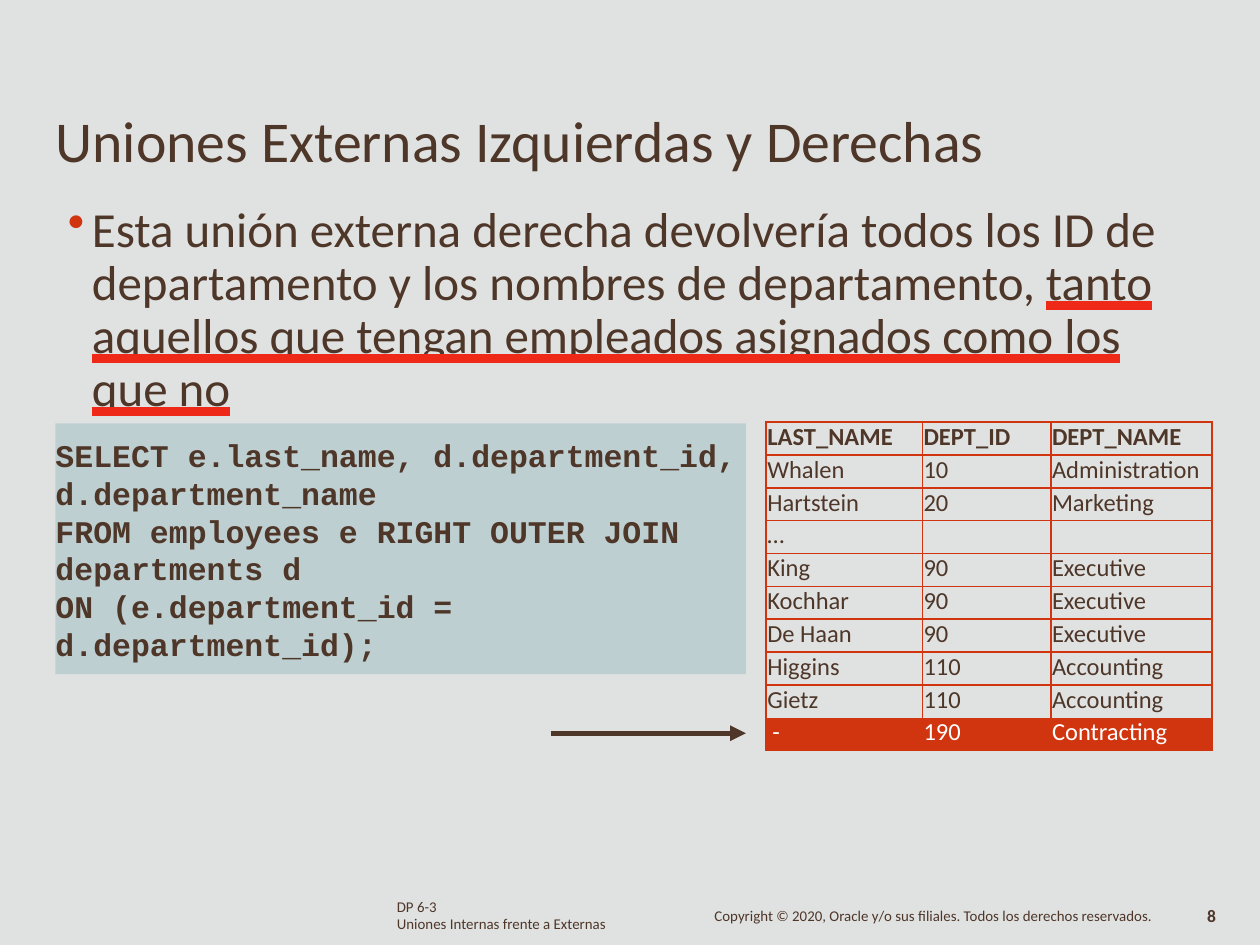
from dataclasses import dataclass

from lxml import etree
from pptx import Presentation
from pptx.dml.color import RGBColor
from pptx.enum.shapes import MSO_CONNECTOR, MSO_SHAPE
from pptx.enum.text import MSO_ANCHOR, MSO_AUTO_SIZE, MSO_UNDERLINE, PP_ALIGN
from pptx.oxml.ns import qn
from pptx.util import Inches, Pt

# Constants
INK = RGBColor(0x4E, 0x36, 0x29)
RED = RGBColor(0xD1, 0x35, 0x0F)
MARK = RGBColor(0xEF, 0x29, 0x17)
TEAL = RGBColor(0x9D, 0xBE, 0xC4)
PAPER = RGBColor(0xE0, 0xE2, 0xE1)
WHITE = RGBColor(0xFF, 0xFF, 0xFF)
SANS, MONO = "Calibri", "Courier New"
LEFT, TOP = PP_ALIGN.LEFT, MSO_ANCHOR.TOP
NO_FIT, HEAVY = MSO_AUTO_SIZE.NONE, MSO_UNDERLINE.HEAVY_LINE
RECT, LINE = MSO_SHAPE.RECTANGLE, MSO_CONNECTOR.STRAIGHT

# The slide is a grid of 100 columns by 75 rows
WIDE, HIGH = Inches(10), Inches(7.5)


def col(count: float) -> int:
    return round(WIDE * count / 100)


def row(count: float) -> int:
    return round(HIGH * count / 75)


@dataclass
class Box:
    x: float
    y: float
    w: float
    h: float

    def area(self) -> tuple:
        return col(self.x), row(self.y), col(self.w), row(self.h)


@dataclass
class Note:
    box: Box
    lines: tuple
    size: float
    bold: bool = False
    pitch: float | None = None


def add_xml(parent, tag: str, **attrs):
    return etree.SubElement(parent, qn(tag), attrs)


def add_color(parent, color: RGBColor):
    fill = add_xml(parent, "a:solidFill")
    return add_xml(fill, "a:srgbClr", val=str(color))


def set_font(para, size: float, color=INK, bold=False, face=SANS) -> None:
    font = para.font
    font.name, font.size, font.bold = face, Pt(size), bold
    font.color.rgb = color


def set_frame(frame, top: float = 0, wrap: bool = True) -> None:
    frame.margin_left = frame.margin_right = frame.margin_bottom = 0
    frame.margin_top = row(top)
    frame.word_wrap = wrap
    frame.auto_size = NO_FIT
    frame.vertical_anchor = TOP


def add_note(slide, note: Note) -> None:
    frame = slide.shapes.add_textbox(*note.box.area()).text_frame
    set_frame(frame, wrap=False)
    frame.text = "\n".join(note.lines)
    for para in frame.paragraphs:
        if note.pitch:
            para.line_spacing = Pt(note.pitch)
        set_font(para, note.size, bold=note.bold)


def add_title(slide, box: Box, text: str) -> None:
    title = slide.shapes.title
    title.left, title.top, title.width, title.height = box.area()
    set_frame(title.text_frame, 0.1, wrap=False)
    title.text_frame.text = text
    para = title.text_frame.paragraphs[0]
    para.alignment = LEFT
    set_font(para, 33)


def add_point(slide, box: Box, parts: tuple) -> None:
    frame = slide.shapes.add_textbox(*box.area()).text_frame
    set_frame(frame, 0.7)
    para = frame.paragraphs[0]
    para.line_spacing = Pt(30.3)
    props = para._p.get_or_add_pPr()
    props.set("marL", str(col(2)))
    props.set("indent", str(-col(1.9)))
    add_xml(add_xml(props, "a:buClr"), "a:srgbClr", val=str(RED))
    add_xml(props, "a:buChar", char="•")
    set_font(para, 28)
    for text, lined in parts:
        run = para.add_run()
        run.text = text
        if lined:
            run.font.underline = HEAVY
            add_color(add_xml(run.font._element, "a:uFill"), MARK)


def add_code(slide, box: Box, lines: tuple) -> None:
    shape = slide.shapes.add_shape(RECT, *box.area())
    shape.shadow.inherit = False
    shape.line.fill.background()
    shape.fill.solid()
    shape.fill.fore_color.rgb = TEAL
    tint = shape._element.spPr.find(".//" + qn("a:srgbClr"))
    add_xml(tint, "a:alpha", val="50000")
    set_frame(shape.text_frame, 1)
    shape.text_frame.text = "\n".join(lines)
    for para in shape.text_frame.paragraphs:
        para.alignment = LEFT
        set_font(para, 18, bold=True, face=MONO)


def add_edges(cell, bare: str) -> None:
    props = cell._tc.get_or_add_tcPr()
    for side in "LRTB":
        edge = add_xml(props, "a:ln" + side, w=str(Pt(1)))
        if side == bare:
            add_xml(edge, "a:noFill")
        else:
            add_color(edge, RED)


def add_grid(slide, box: Box, widths: tuple, data: tuple) -> None:
    last = len(data) - 1
    table = slide.shapes.add_table(len(data), len(widths), *box.area()).table
    table.first_row = table.horz_banding = False
    for column, width in zip(table.columns, widths):
        column.width = col(width)
    for i, values in enumerate(data):
        table.rows[i].height = row(box.h / len(data))
        for j, value in enumerate(values):
            cell = table.cell(i, j)
            cell.margin_left = col(0.5 if value == "-" else 0.1)
            cell.margin_right = cell.margin_top = cell.margin_bottom = 0
            cell.text = value
            color = WHITE if i == last else INK
            set_font(cell.text_frame.paragraphs[0], 14, color, i == 0)
            add_edges(cell, {last - 1: "B", last: "T"}.get(i, ""))
            if i == last:
                cell.fill.solid()
                cell.fill.fore_color.rgb = RED
            else:
                cell.fill.background()


def add_arrow(slide, start: float, end: float, y: float) -> None:
    arrow = slide.shapes.add_connector(LINE, col(start), row(y), col(end), row(y))
    arrow.line.color.rgb = INK
    arrow.line.width = Pt(3)
    add_xml(arrow.line._get_or_add_ln(), "a:tailEnd", type="triangle")
    add_xml(arrow._element.spPr, "a:effectLst")


POINT = (
    ("Esta unión externa derecha devolvería todos los ID de departamento "
     "y los nombres de departamento, ", False),
    ("tanto", True),
    (" ", False),
    ("aquellos que tengan empleados asignados como los", True),
    (" ", False),
    ("que no", True),
)
CODE = (
    "SELECT e.last_name, d.department_id, d.department_name",
    "FROM employees e RIGHT OUTER JOIN departments d",
    "ON (e.department_id = d.department_id);",
)
STAFF = (
    ("LAST_NAME", "DEPT_ID", "DEPT_NAME"),
    ("Whalen", "10", "Administration"),
    ("Hartstein", "20", "Marketing"),
    ("…", "", ""),
    ("King", "90", "Executive"),
    ("Kochhar", "90", "Executive"),
    ("De Haan", "90", "Executive"),
    ("Higgins", "110", "Accounting"),
    ("Gietz", "110", "Accounting"),
    ("-", "190", "Contracting"),
)
NOTES = (
    Note(Box(31.5, 71.3, 17, 2.7),
         ("DP 6-3", "Uniones Internas frente a Externas"), 8.5, pitch=9.7),
    Note(Box(95.8, 71.8, 1.6, 1.7), ("8",), 10, bold=True),
    Note(Box(56.7, 72.1, 35.1, 1.5),
         ("Copyright © 2020, Oracle y/o sus filiales. "
          "Todos los derechos reservados.",), 8.5, pitch=9.1),
)


def main() -> None:
    deck = Presentation()
    deck.slide_width, deck.slide_height = WIDE, HIGH
    slide = deck.slides.add_slide(deck.slide_layouts[5])
    slide.background.fill.solid()
    slide.background.fill.fore_color.rgb = PAPER
    # Heading and main point
    add_title(slide, Box(4.4, 8.2, 74, 5.8),
              "Uniones Externas Izquierdas y Derechas")
    add_point(slide, Box(5.3, 15.5, 86.6, 17.5), POINT)
    # Query and its result
    add_grid(slide, Box(60.8, 33.5, 35.4, 26.1), (12.4, 10.2, 12.8), STAFF)
    add_code(slide, Box(4.4, 33.6, 54.8, 19.9), CODE)
    add_arrow(slide, 43.7, 59.2, 58.2)
    # Footer
    for note in NOTES:
        add_note(slide, note)
    deck.save("out.pptx")


if __name__ == "__main__":
    main()
